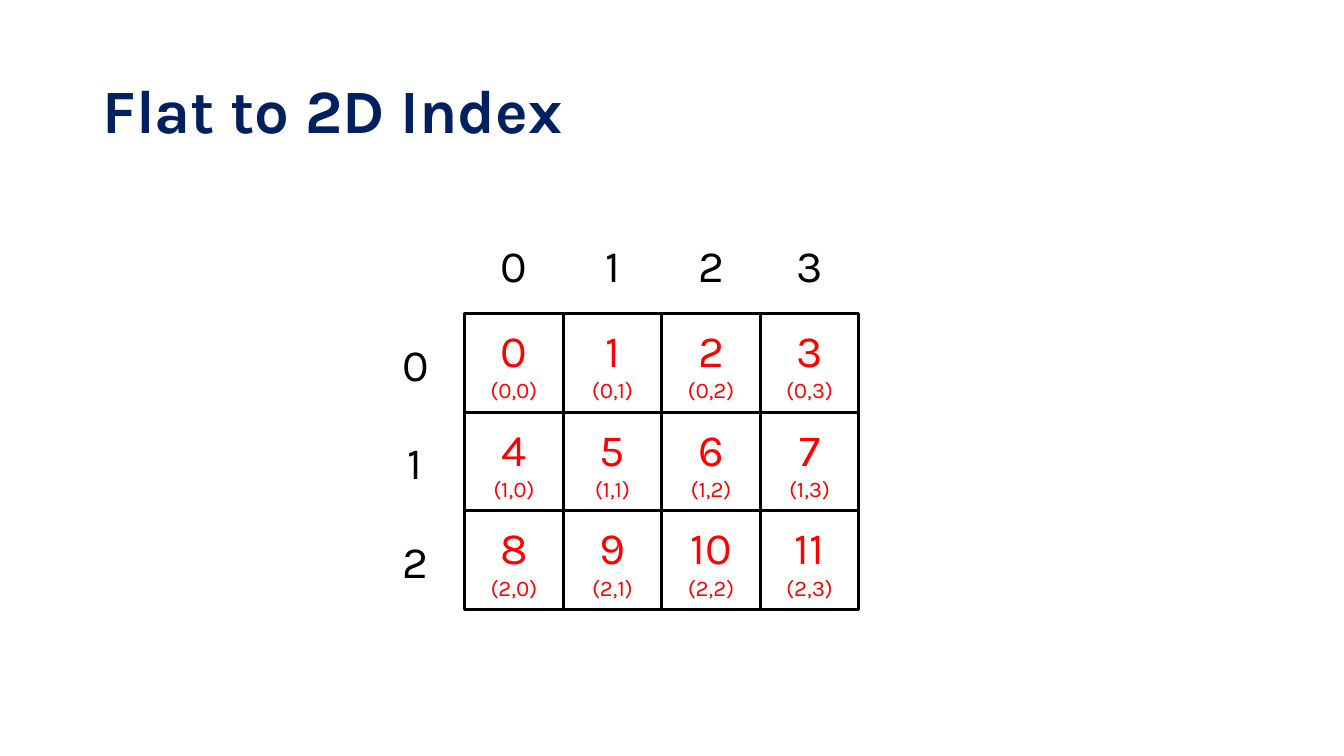
import pptx
import pptx.util
import pptx.dml.color
import pptx.enum.shapes
import pptx.enum.text

Pt = pptx.util.Pt
RGB = pptx.dml.color.RGBColor
ALIGN = pptx.enum.text.PP_ALIGN
MIDDLE = pptx.enum.text.MSO_ANCHOR.MIDDLE
RECT = pptx.enum.shapes.MSO_SHAPE.RECTANGLE

NAVY = RGB(0x00, 0x20, 0x60)
RED = RGB(0xFF, 0x00, 0x00)
BLACK = RGB(0x00, 0x00, 0x00)

FONT = "Karla"
ROWS, COLS = 3, 4


def style(par, size, color, align, bold=False):
    par.alignment = align
    for run in par.runs:
        run.font.name = FONT
        run.font.size = Pt(size)
        run.font.bold = bold
        run.font.color.rgb = color


def fill(shape, lines, sizes, color):
    frame = shape.text_frame
    frame.word_wrap = True
    frame.vertical_anchor = MIDDLE
    frame.text = "\n".join(lines)
    for par, size in zip(frame.paragraphs, sizes):
        style(par, size, color, ALIGN.CENTER)


def title(slide, text, left, top, width, height):
    head = slide.shapes.title
    head.left, head.top = Pt(left), Pt(top)
    head.width, head.height = Pt(width), Pt(height)
    frame = head.text_frame
    frame.text = text
    frame.auto_size = pptx.enum.text.MSO_AUTO_SIZE.NONE
    frame.vertical_anchor = MIDDLE
    par = frame.paragraphs[0]
    par.line_spacing = 0.9
    style(par, 44, NAVY, ALIGN.LEFT, True)


def cell(slide, lines, left, top, side):
    box = slide.shapes.add_shape(RECT, Pt(left), Pt(top), Pt(side), Pt(side))
    box.shadow.inherit = False
    box.fill.background()
    box.line.color.rgb = BLACK
    box.line.width = Pt(2.25)
    fill(box, lines, (32, 16), RED)


def label(slide, text, left, top, side):
    box = slide.shapes.add_textbox(Pt(left), Pt(top), Pt(side), Pt(side))
    fill(box, [text], [32], BLACK)


def grid(slide, left, top, side):
    for row in range(ROWS):
        for col in range(COLS):
            lines = [str(row * COLS + col), f"({row},{col})"]
            cell(slide, lines, left + (col + 1) * side, top + (row + 1) * side, side)
    for col in range(COLS):
        label(slide, str(col), left + (col + 1) * side, top, side)
    for row in range(ROWS):
        label(slide, str(row), left, top + (row + 1) * side, side)


def main():
    deck = pptx.Presentation()
    deck.slide_width, deck.slide_height = Pt(960), Pt(540)
    slide = deck.slides.add_slide(deck.slide_layouts[5])
    title(slide, "Flat to 2D Index", 66, 28.75, 828, 104.4)
    grid(slide, 261.5, 153.75, 70.4)
    deck.save("out.pptx")


if __name__ == "__main__":
    main()
